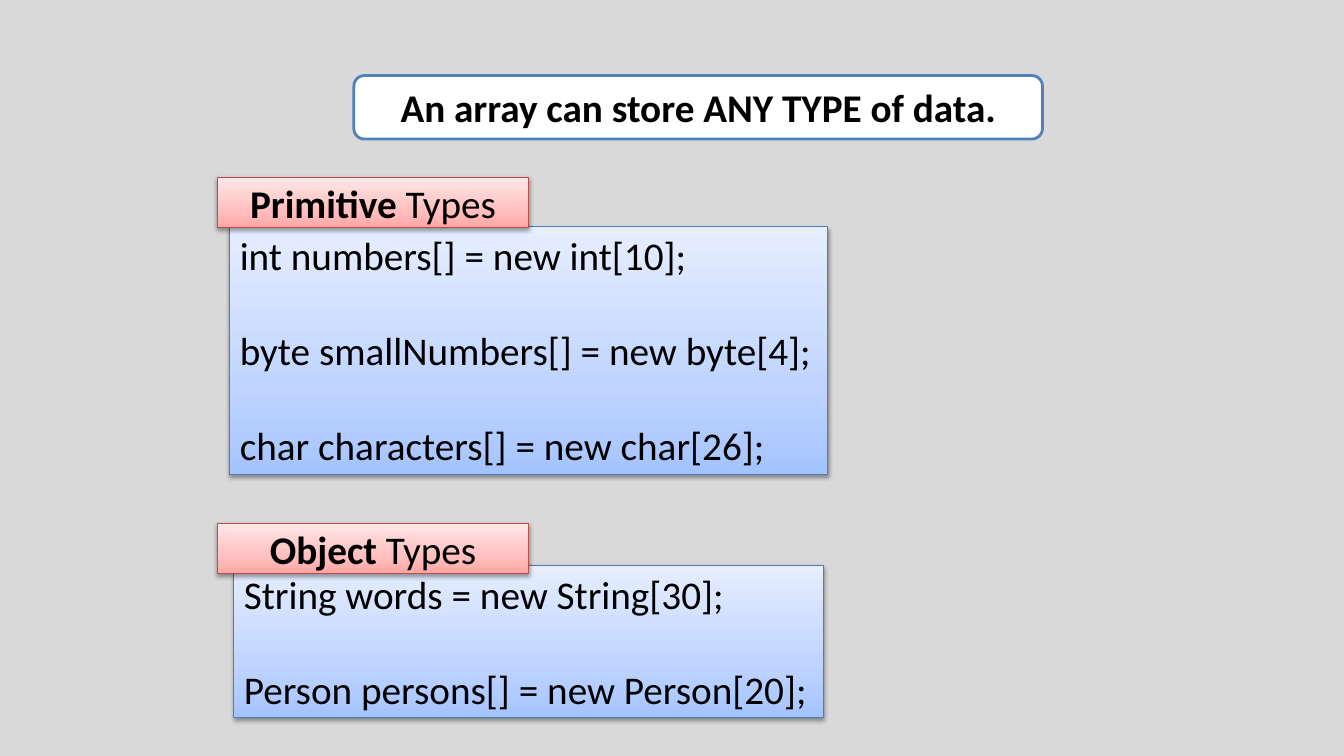
from copy import deepcopy
from dataclasses import dataclass

from lxml import etree
from pptx import Presentation
from pptx.dml.color import RGBColor
from pptx.enum.shapes import MSO_SHAPE
from pptx.enum.text import MSO_ANCHOR, MSO_AUTO_SIZE, PP_ALIGN
from pptx.oxml.ns import qn
from pptx.util import Pt

RECT, ROUNDED = MSO_SHAPE.RECTANGLE, MSO_SHAPE.ROUNDED_RECTANGLE
TOP, MIDDLE = MSO_ANCHOR.TOP, MSO_ANCHOR.MIDDLE
LEFT, CENTER = PP_ALIGN.LEFT, PP_ALIGN.CENTER
GROW, FIXED = MSO_AUTO_SIZE.SHAPE_TO_FIT_TEXT, MSO_AUTO_SIZE.NONE

PX = 9144  # EMU, 100 px to the inch
SLIDE_WIDTH, SLIDE_HEIGHT = 1333, 750


@dataclass(frozen=True)
class Theme:
    background: str = "D9D9D9"
    text: str = "000000"
    headline_fill: str = "FFFFFF"
    headline_line: str = "4F81BD"
    code_line: str = "4B7EBC"
    label_line: str = "BF4C48"
    code_gradient: tuple = ("A4C4FF", "BFD4FF", "E6EEFF")
    label_gradient: tuple = ("FFA6A5", "FFC0BF", "FFE7E7")
    gradient_positions: tuple = (0, 0.35, 1)
    font: str = "Calibri"
    size: int = 28
    statement_gap: int = 34


THEME = Theme()
HEADLINE_FRAME = {"word_wrap": True, "auto_size": GROW, "vertical_anchor": TOP}
CODE_FRAME = {"word_wrap": False, "auto_size": GROW, "vertical_anchor": TOP}
LABEL_FRAME = {"word_wrap": True, "auto_size": FIXED, "vertical_anchor": MIDDLE}

# label top, label word, code box, statements
SECTIONS = [
    (519, "Object", (232, 561, 585, 151),
     ["String words = new String[30];", "Person persons[] = new Person[20];"]),
    (176, "Primitive", (228, 225, 593, 246),
     ["int numbers[] = new int[10];", "byte smallNumbers[] = new byte[4];",
      "char characters[] = new char[26];"]),
]


def apply_format(target, values):
    for name, value in values.items():
        setattr(target, name, value)


def add_panel(slide, preset, box, line_color, line_width, frame_format):
    panel = slide.shapes.add_shape(preset, *(length * PX for length in box))
    panel.shadow.inherit = False
    panel.line.color.rgb = RGBColor.from_string(line_color)
    panel.line.width = Pt(line_width)
    apply_format(panel.text_frame, frame_format)
    return panel


def fill_gradient(panel, colors):
    """Fill from bottom to top with three colours."""
    panel.fill.gradient()
    panel.fill.gradient_angle = 90
    stop_list = panel.element.spPr.find(qn("a:gradFill")).find(qn("a:gsLst"))
    stop_list.append(deepcopy(stop_list[-1]))
    stops = panel.fill.gradient_stops
    for stop, color, position in zip(stops, colors, THEME.gradient_positions):
        stop.color.rgb = RGBColor.from_string(color)
        stop.position = position


def add_shadow(panel):
    effects = panel.element.spPr.find(qn("a:effectLst"))
    shadow = etree.SubElement(effects, qn("a:outerShdw"), blurRad="40000",
                              dist="20000", dir="5400000", rotWithShape="0")
    color = etree.SubElement(shadow, qn("a:srgbClr"), val="000000")
    etree.SubElement(color, qn("a:alpha"), val="38000")


def write_paragraph(paragraph, pieces, alignment):
    """Write (text, bold) pieces into one paragraph."""
    paragraph.alignment = alignment
    for text, bold in pieces:
        run = paragraph.add_run()
        run.text = text
        apply_format(run.font, {"name": THEME.font, "size": Pt(THEME.size), "bold": bold})
        run.font.color.rgb = RGBColor.from_string(THEME.text)


def add_headline(slide, text):
    headline = add_panel(slide, ROUNDED, (351, 75, 683, 63),
                         THEME.headline_line, 2, HEADLINE_FRAME)
    headline.fill.solid()
    headline.fill.fore_color.rgb = RGBColor.from_string(THEME.headline_fill)
    write_paragraph(headline.text_frame.paragraphs[0], [(text, True)], CENTER)


def add_code(slide, box, statements):
    code = add_panel(slide, RECT, box, THEME.code_line, 0.75, CODE_FRAME)
    fill_gradient(code, THEME.code_gradient)
    add_shadow(code)
    frame = code.text_frame
    for index, statement in enumerate(statements):
        paragraph = frame.add_paragraph() if index else frame.paragraphs[0]
        if index:
            paragraph.space_before = Pt(THEME.statement_gap)
        write_paragraph(paragraph, [(statement, False)], LEFT)


def add_label(slide, top, word):
    label = add_panel(slide, RECT, (216, top, 308, 50),
                      THEME.label_line, 0.75, LABEL_FRAME)
    fill_gradient(label, THEME.label_gradient)
    add_shadow(label)
    write_paragraph(label.text_frame.paragraphs[0],
                    [(word, True), (" Types", False)], CENTER)


def main():
    presentation = Presentation()
    presentation.slide_width = SLIDE_WIDTH * PX
    presentation.slide_height = SLIDE_HEIGHT * PX
    slide = presentation.slides.add_slide(presentation.slide_layouts[6])
    slide.background.fill.solid()
    slide.background.fill.fore_color.rgb = RGBColor.from_string(THEME.background)

    add_headline(slide, "An array can store ANY TYPE of data.")
    for label_top, word, code_box, statements in SECTIONS:
        add_code(slide, code_box, statements)
        add_label(slide, label_top, word)
    presentation.save("out.pptx")


if __name__ == "__main__":
    main()
